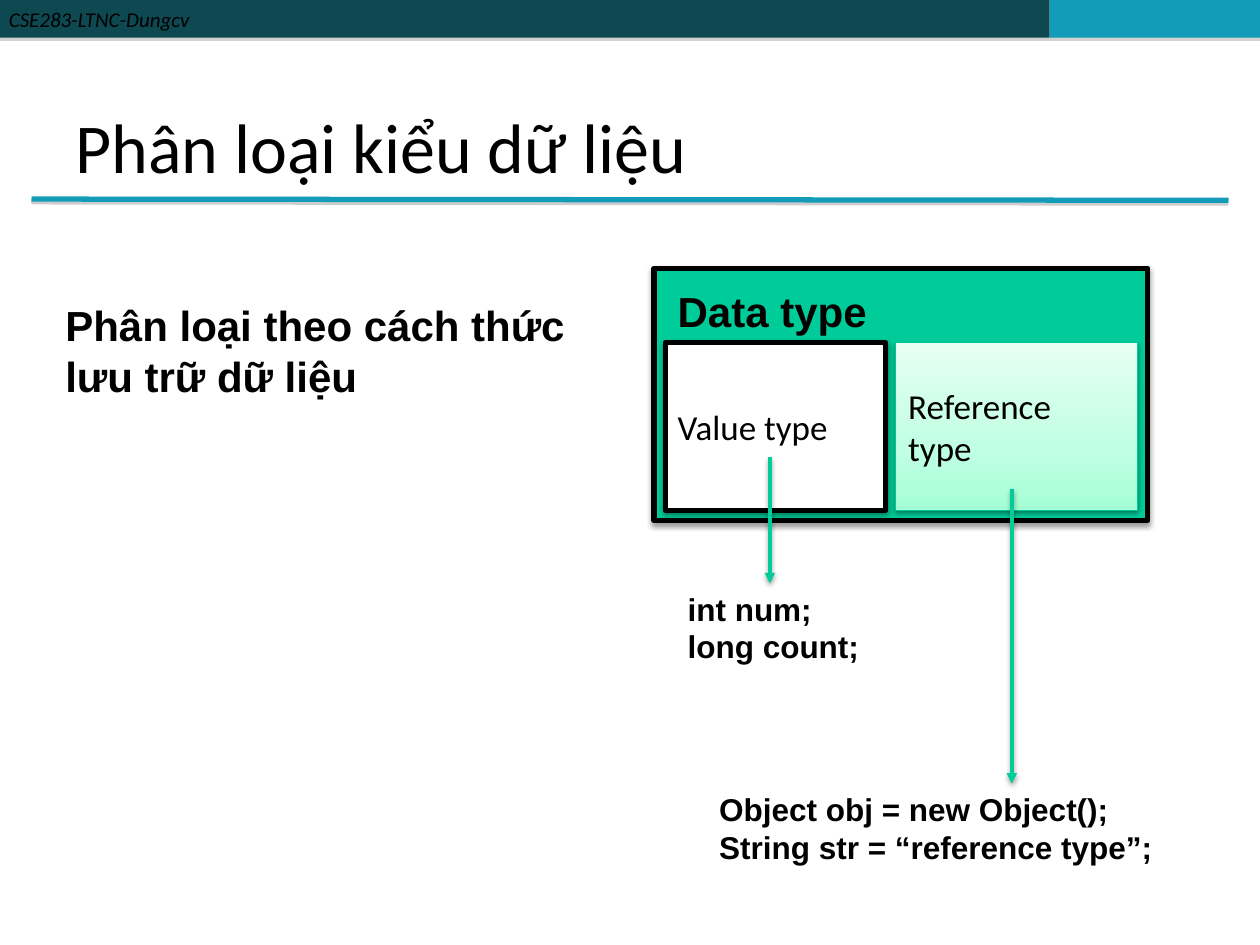
from lxml.etree import SubElement
from copy import deepcopy
from pptx import Presentation
from pptx.dml.color import RGBColor
from pptx.enum.shapes import MSO_CONNECTOR, MSO_SHAPE
from pptx.enum.text import MSO_ANCHOR, MSO_AUTO_SIZE, PP_ALIGN
from pptx.oxml.ns import qn
from pptx.util import Inches, Pt

BLACK = RGBColor(0x00, 0x00, 0x00)
WHITE = RGBColor(0xFF, 0xFF, 0xFF)
DARK = RGBColor(0x0E, 0x48, 0x51)
TEAL = RGBColor(0x13, 0x9C, 0xB7)
GREEN = RGBColor(0x00, 0xCC, 0x99)
EDGE = RGBColor(0x00, 0xC8, 0x96)
MINT = [(0, RGBColor(0xA5, 0xFF, 0xD6)), (0.35, RGBColor(0xBF, 0xFF, 0xE2)),
        (1, RGBColor(0xE7, 0xFF, 0xF3))]

# Shadows: colour, opacity in percent, blur and distance in points
BAR = ("808080", 35, 0, 1.8)
RULE = ("808080", 38, 0, 1.6)
SOFT = ("000000", 38, 3.1, 1.6)


def write(frame, text, size=20, font="Calibri", bold=False, italic=False,
          anchor=MSO_ANCHOR.TOP, wrap=True, inset=(0.1, 0.05)):
    """Fill a text frame, one paragraph for each line of text."""
    frame.word_wrap = wrap
    frame.vertical_anchor = anchor
    frame.margin_left = frame.margin_right = Inches(inset[0])
    frame.margin_top = frame.margin_bottom = Inches(inset[1])
    for i, line in enumerate(text.split("\n")):
        para = frame.add_paragraph() if i else frame.paragraphs[0]
        para.alignment = PP_ALIGN.LEFT
        run = para.add_run()
        run.text = line
        face = run.font
        face.name, face.size = font, Pt(size)
        face.bold, face.italic = bold, italic
        face.color.rgb = BLACK


def shade(item, color, alpha, blur, dist):
    """Drop a shadow straight down; call after fill and line are set."""
    props = item._element.spPr
    drop = SubElement(SubElement(props, qn("a:effectLst")), qn("a:outerShdw"),
                      blurRad=str(Pt(blur)), dist=str(Pt(dist)),
                      dir="5400000", rotWithShape="0")
    tint = SubElement(drop, qn("a:srgbClr"), val=color)
    SubElement(tint, qn("a:alpha"), val=str(alpha * 1000))


def blend(fill, stops):
    """Give a fill a gradient that runs from bottom to top."""
    fill.gradient()
    fill.gradient_angle = 90
    marks = fill._fill._gradFill.gsLst
    while len(marks) < len(stops):
        marks.append(deepcopy(marks[-1]))
    for mark, (pos, color) in zip(fill.gradient_stops, stops):
        mark.position = pos
        mark.color.rgb = color


class Deck:
    """Holds the current slide and draws its elements in one style."""

    def __init__(self, slide):
        self.slide = slide
        self.shapes = slide.shapes

    def title(self, text, x, y, w, h):
        head = self.shapes.title
        head.left, head.top = Inches(x), Inches(y)
        head.width, head.height = Inches(w), Inches(h)
        write(head.text_frame, text, size=40, anchor=MSO_ANCHOR.BOTTOM)

    def box(self, x, y, w, h, fill, line=None, width=3, shadow=SOFT,
            text=None, **style):
        item = self.shapes.add_shape(MSO_SHAPE.RECTANGLE, Inches(x), Inches(y),
                                     Inches(w), Inches(h))
        if isinstance(fill, list):
            blend(item.fill, fill)
        else:
            item.fill.solid()
            item.fill.fore_color.rgb = fill
        if line is None:
            item.line.fill.background()
        else:
            item.line.color.rgb = line
            item.line.width = Pt(width)
        shade(item, *shadow)
        if text:
            write(item.text_frame, text, anchor=MSO_ANCHOR.MIDDLE, **style)

    def label(self, x, y, w, h, text, size=18, wrap=False):
        item = self.shapes.add_textbox(Inches(x), Inches(y), Inches(w), Inches(h))
        write(item.text_frame, text, size=size, font="Arial", bold=True, wrap=wrap)
        item.text_frame.auto_size = MSO_AUTO_SIZE.SHAPE_TO_FIT_TEXT

    def line(self, x1, y1, x2, y2, color, width, shadow=SOFT, arrow=False):
        item = self.shapes.add_connector(MSO_CONNECTOR.STRAIGHT, Inches(x1),
                                         Inches(y1), Inches(x2), Inches(y2))
        item.line.color.rgb = color
        item.line.width = Pt(width)
        if arrow:
            SubElement(item.line._get_or_add_ln(), qn("a:tailEnd"), type="triangle")
        shade(item, *shadow)


def main():
    show = Presentation()
    show.slide_width, show.slide_height = Inches(10), Inches(7.5)
    deck = Deck(show.slides.add_slide(show.slide_layouts[5]))

    # Top band and title rule
    deck.box(0, 0, 4.08, 0.3, DARK, shadow=BAR, text="CSE283-LTNC-Dungcv",
             size=12, italic=True, inset=(0.07, 0.04))
    deck.box(4.08, 0, 4.25, 0.3, DARK, shadow=BAR)
    deck.box(8.33, 0, 1.67, 0.3, TEAL, shadow=BAR)
    deck.line(0.25, 1.58, 9.75, 1.59, TEAL, 3, shadow=RULE)
    deck.title("Phân loại kiểu dữ liệu", 0.5, 0.11, 8.99, 1.43)

    # Data type panel with its two kinds
    deck.box(5.19, 2.13, 3.92, 2, GREEN, BLACK)
    deck.box(5.28, 2.72, 1.75, 1.33, WHITE, BLACK, text="Value type")
    deck.box(7.11, 2.72, 1.92, 1.33, MINT, EDGE, 0.75, text="Reference\ntype")
    deck.label(5.28, 2.22, 3.67, 0.5, "Data type", size=24, wrap=True)

    # Code samples and the arrows that lead to them
    deck.label(5.36, 4.63, 1.56, 0.7, "int num;\nlong count;")
    deck.label(5.61, 6.22, 3.64, 0.7,
               "Object obj = new Object();\nString str = “reference type”;")
    for x, top, end in [(6.11, 3.63, 4.63), (8.03, 3.88, 6.22)]:
        deck.line(x, top, x, end, GREEN, 2, arrow=True)

    # Statement on the left
    deck.label(0.42, 2.33, 4.29, 0.91,
               "Phân loại theo cách thức\nlưu trữ dữ liệu", size=24)

    show.save("out.pptx")


if __name__ == "__main__":
    main()
